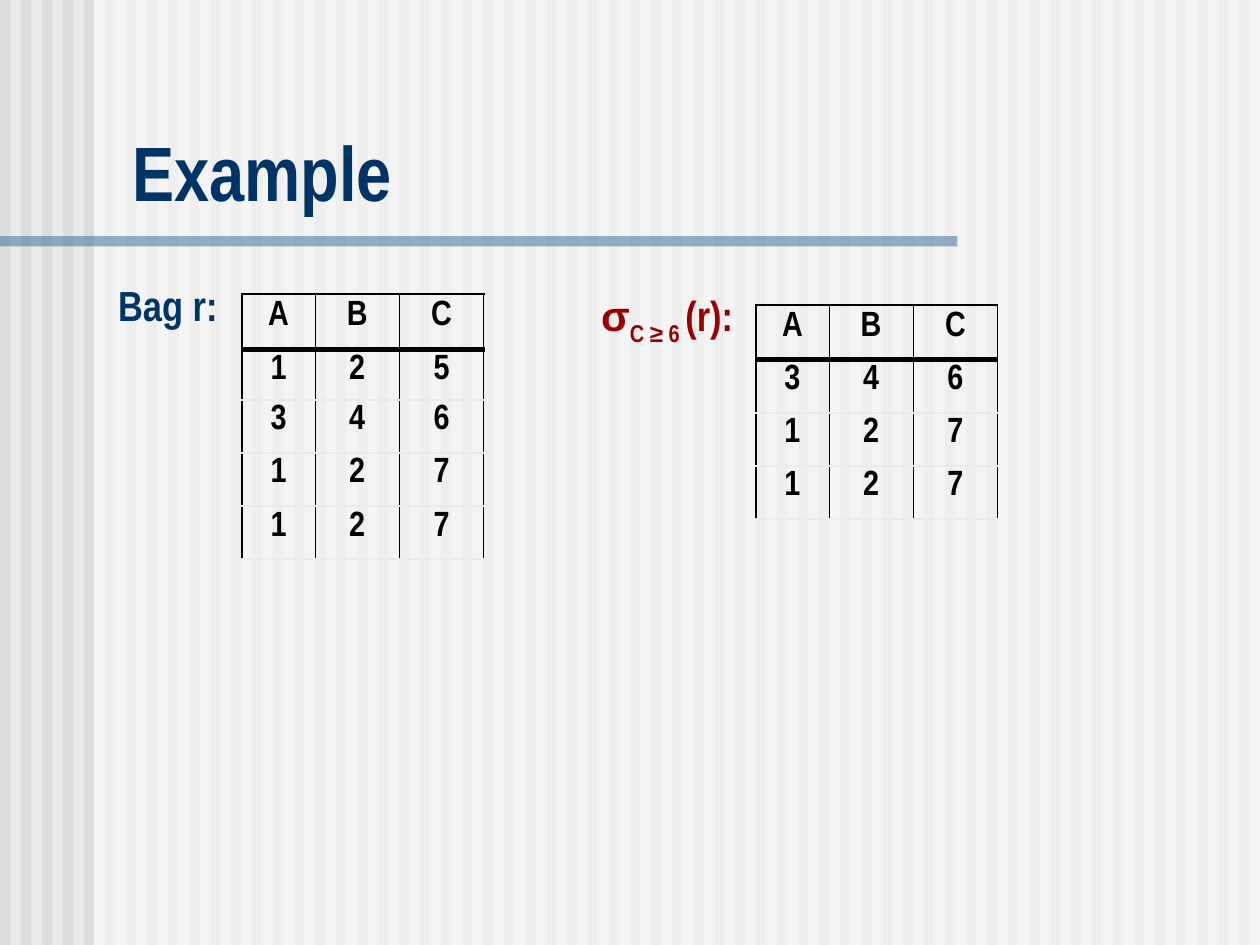
from dataclasses import dataclass

from lxml.etree import SubElement
from pptx import Presentation
from pptx.dml.color import RGBColor
from pptx.enum.shapes import MSO_SHAPE as Preset
from pptx.enum.text import MSO_ANCHOR as Anchor, MSO_AUTO_SIZE as AutoSize, PP_ALIGN as Align
from pptx.oxml.ns import qn
from pptx.util import Cm, Pt

WIDTH, HEIGHT = 25.4, 19.05
STRIPE_COUNT = 60
NAVY, RED, BLACK, PALE = "003366", "9A0000", "000000", "EAEAEA"
NARROW, ARIAL = "Arial Narrow", "Arial"
THIN, OUTER, RULE, HEADER_RULE = 0.45, 1.08, 1.47, 3


@dataclass
class Box:
    left: float
    top: float
    width: float
    height: float

    def lengths(self) -> list:
        return [Cm(value) for value in (self.left, self.top, self.width, self.height)]


@dataclass
class TextRun:
    text: str
    font: str = NARROW
    baseline: int = 0


@dataclass
class Relation:
    left: float
    top: float
    row_heights: list[float]
    rows: list[str]


def color(hex_value: str) -> RGBColor:
    return RGBColor.from_string(hex_value)


def add_bar(shapes, box: Box, fill: str, opacity: int = 100) -> None:
    shape = shapes.add_shape(Preset.RECTANGLE, *box.lengths())
    shape.shadow.inherit = False
    shape.line.fill.background()
    shape.fill.solid()
    shape.fill.fore_color.rgb = color(fill)
    if opacity < 100:
        rgb = shape.element.spPr.find(qn("a:solidFill")).find(qn("a:srgbClr"))
        SubElement(rgb, qn("a:alpha"), val=str(opacity * 1000))


def add_run(paragraph, text_run: TextRun, size: int, text_color: str) -> None:
    run = paragraph.add_run()
    run.text = text_run.text
    font_format = {"name": text_run.font, "size": Pt(size), "bold": True}
    for attribute, value in font_format.items():
        setattr(run.font, attribute, value)
    run.font.color.rgb = color(text_color)
    if text_run.baseline:
        run.font._element.set("baseline", str(text_run.baseline * 1000))


def add_label(slide, box: Box, text_runs: list[TextRun], text_color: str, wrap: bool) -> None:
    frame = slide.shapes.add_textbox(*box.lengths()).text_frame
    frame.word_wrap = wrap
    frame.auto_size = AutoSize.SHAPE_TO_FIT_TEXT
    paragraph = frame.paragraphs[0]
    paragraph.alignment = Align.CENTER
    for text_run in text_runs:
        add_run(paragraph, text_run, 24, text_color)


def set_border(cell, side: str, line_color: str, width: float) -> None:
    properties = cell._tc.get_or_add_tcPr()
    line = SubElement(properties, qn(f"a:ln{side}"), w=str(Pt(width)))
    fill = SubElement(line, qn("a:solidFill"))
    SubElement(fill, qn("a:srgbClr"), val=line_color)


def add_relation(slide, relation: Relation) -> None:
    column_widths = [1.47, 1.7, 1.7]
    box = Box(relation.left, relation.top, sum(column_widths), sum(relation.row_heights))
    table = slide.shapes.add_table(
        len(relation.rows), len(column_widths), *box.lengths()).table
    table.first_row = table.horz_banding = False
    for column, width in zip(table.columns, column_widths):
        column.width = Cm(width)
    last = len(column_widths) - 1
    for i, (values, height) in enumerate(zip(relation.rows, relation.row_heights)):
        table.rows[i].height = Cm(height)
        top = {0: (BLACK, OUTER), 1: (BLACK, HEADER_RULE)}.get(i, (PALE, RULE))
        bottom = (BLACK, HEADER_RULE) if i == 0 else (PALE, RULE)
        for j, value in enumerate(values):
            cell = table.cell(i, j)
            set_border(cell, "L", BLACK, OUTER if j == 0 else THIN)
            set_border(cell, "R", BLACK, OUTER if j == last else THIN)
            set_border(cell, "T", *top)
            set_border(cell, "B", *bottom)
            cell.fill.background()
            paragraph = cell.text_frame.paragraphs[0]
            paragraph.alignment = Align.CENTER
            if i > 0:
                paragraph.line_spacing = 0.9
            add_run(paragraph, TextRun(value), 20, BLACK)


def add_backdrop(slide) -> None:
    slide.background.fill.solid()
    slide.background.fill.fore_color.rgb = color(PALE)
    stripes = slide.shapes.add_group_shape().shapes
    pitch = WIDTH / STRIPE_COUNT
    for i in range(STRIPE_COUNT):
        add_bar(stripes, Box(i * pitch, 0, pitch / 2, HEIGHT), "DDDDDD")
    add_bar(slide.shapes, Box(1.9, 0, WIDTH - 1.9, HEIGHT), "FFFFFF", 50)
    add_bar(slide.shapes, Box(0, 4.76, 19.3, 0.21), "336699", 50)


def add_title(slide, text: str) -> None:
    title = slide.shapes.title
    # Bring the title in front of the backdrop
    title.element.getparent().append(title.element)
    title.left, title.top, title.width, title.height = Box(2.41, 2.39, 22.68, 2.11).lengths()
    frame = title.text_frame
    frame.vertical_anchor = Anchor.BOTTOM
    frame.auto_size = AutoSize.SHAPE_TO_FIT_TEXT
    frame.paragraphs[0].alignment = Align.LEFT
    add_run(frame.paragraphs[0], TextRun(text), 44, NAVY)


def main() -> None:
    presentation = Presentation()
    presentation.slide_width, presentation.slide_height = Cm(WIDTH), Cm(HEIGHT)
    slide = presentation.slides.add_slide(presentation.slide_layouts[5])

    add_backdrop(slide)
    add_title(slide, "Example")

    # Labels
    add_label(slide, Box(2.13, 5.51, 2.51, 1.27), [TextRun("Bag r:")], NAVY, False)
    selection = [
        TextRun("σ", ARIAL),
        TextRun("C ", baseline=-25),
        TextRun("≥", ARIAL, -25),
        TextRun(" 6 ", baseline=-25),
        TextRun("(r):"),
    ]
    add_label(slide, Box(11.43, 5.72, 4.04, 1.42), selection, RED, True)

    # Input bag and selected rows
    add_relation(slide, Relation(4.88, 5.92, [1.12, 1.02, 1.07, 1.07, 1.07],
                                 ["ABC", "125", "346", "127", "127"]))
    add_relation(slide, Relation(15.24, 6.15, [1.1, 1.07, 1.07, 1.07],
                                 ["ABC", "346", "127", "127"]))

    presentation.save("out.pptx")


if __name__ == "__main__":
    main()
